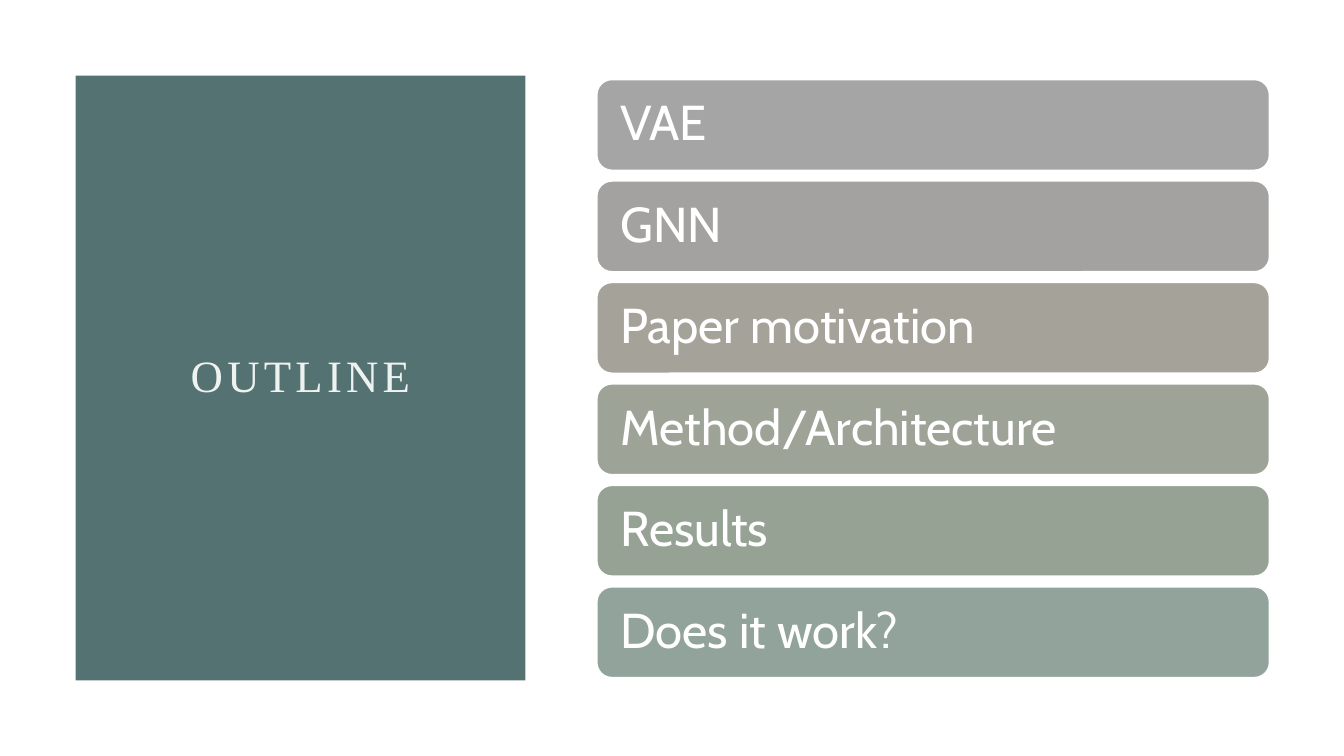
from dataclasses import dataclass

from pptx import Presentation
from pptx.dml.color import RGBColor
from pptx.enum.shapes import MSO_SHAPE
from pptx.enum.text import MSO_ANCHOR, PP_ALIGN
from pptx.util import Inches, Pt

RECT, ROUNDED = MSO_SHAPE.RECTANGLE, MSO_SHAPE.ROUNDED_RECTANGLE
LEFT, CENTER = PP_ALIGN.LEFT, PP_ALIGN.CENTER
MIDDLE = MSO_ANCHOR.MIDDLE

COLORS = {
    "panel": "557272",
    "title": "EEF2F0",
    "white": "FFFFFF",
}

# Percent of the slide's width (left, width) or height (top, height)
PANEL_LEFT, PANEL_TOP, PANEL_WIDTH, PANEL_HEIGHT = 5.63, 10, 33.46, 80
BAR_LEFT, BAR_TOP, BAR_WIDTH, BAR_HEIGHT = 44.41, 10.53, 50.04, 12
BAR_PITCH = 13.42


@dataclass(frozen=True)
class Topic:
    text: str
    fill: str


@dataclass(frozen=True)
class TextStyle:
    font: str
    size: int
    color: str
    align: PP_ALIGN
    inset: float


TITLE_STYLE = TextStyle("Times New Roman", 32, COLORS["title"], CENTER, 0.75)
TOPIC_STYLE = TextStyle("Cabin", 35, COLORS["white"], LEFT, 0.19)

TOPICS = [
    Topic("VAE", "A5A5A5"),
    Topic("GNN", "A4A2A0"),
    Topic("Paper motivation", "A4A299"),
    Topic("Method/Architecture", "9EA398"),
    Topic("Results", "95A294"),
    Topic("Does it work?", "92A39B"),
]

prs = Presentation()
prs.slide_width, prs.slide_height = Inches(13.33), Inches(7.5)
slide = prs.slides.add_slide(prs.slide_layouts[6])


def add_block(kind: MSO_SHAPE, left: float, top: float, width: float,
              height: float, fill: str):
    """Add a filled shape without outline, placed in percent of the slide."""
    sp = slide.shapes.add_shape(
        kind,
        int(prs.slide_width * left / 100), int(prs.slide_height * top / 100),
        int(prs.slide_width * width / 100), int(prs.slide_height * height / 100))
    sp.shadow.inherit = False
    sp.fill.solid()
    sp.fill.fore_color.rgb = RGBColor.from_string(fill)
    sp.line.fill.background()
    return sp


def write(sp, text: str, style: TextStyle):
    tf = sp.text_frame
    tf.word_wrap = True
    tf.vertical_anchor = MIDDLE
    tf.margin_left = tf.margin_right = Inches(style.inset)
    p = tf.paragraphs[0]
    p.alignment = style.align
    p.line_spacing = 0.9
    p.font.name = style.font
    p.font.size = Pt(style.size)
    p.font.color.rgb = RGBColor.from_string(style.color)
    r = p.add_run()
    r.text = text
    return r


def add_title_panel() -> None:
    sp = add_block(RECT, PANEL_LEFT, PANEL_TOP, PANEL_WIDTH, PANEL_HEIGHT,
                   COLORS["panel"])
    r = write(sp, "OUTLINE", TITLE_STYLE)
    r.font._element.set("spc", "300")


def add_topic_bar(row: int, topic: Topic) -> None:
    sp = add_block(ROUNDED, BAR_LEFT, BAR_TOP + row * BAR_PITCH, BAR_WIDTH,
                   BAR_HEIGHT, topic.fill)
    sp.line.color.rgb = RGBColor.from_string(COLORS["white"])
    sp.line.width = Pt(1)
    write(sp, topic.text, TOPIC_STYLE)


def main() -> None:
    add_title_panel()
    for row, topic in enumerate(TOPICS):
        add_topic_bar(row, topic)
    prs.save("out.pptx")


if __name__ == "__main__":
    main()
